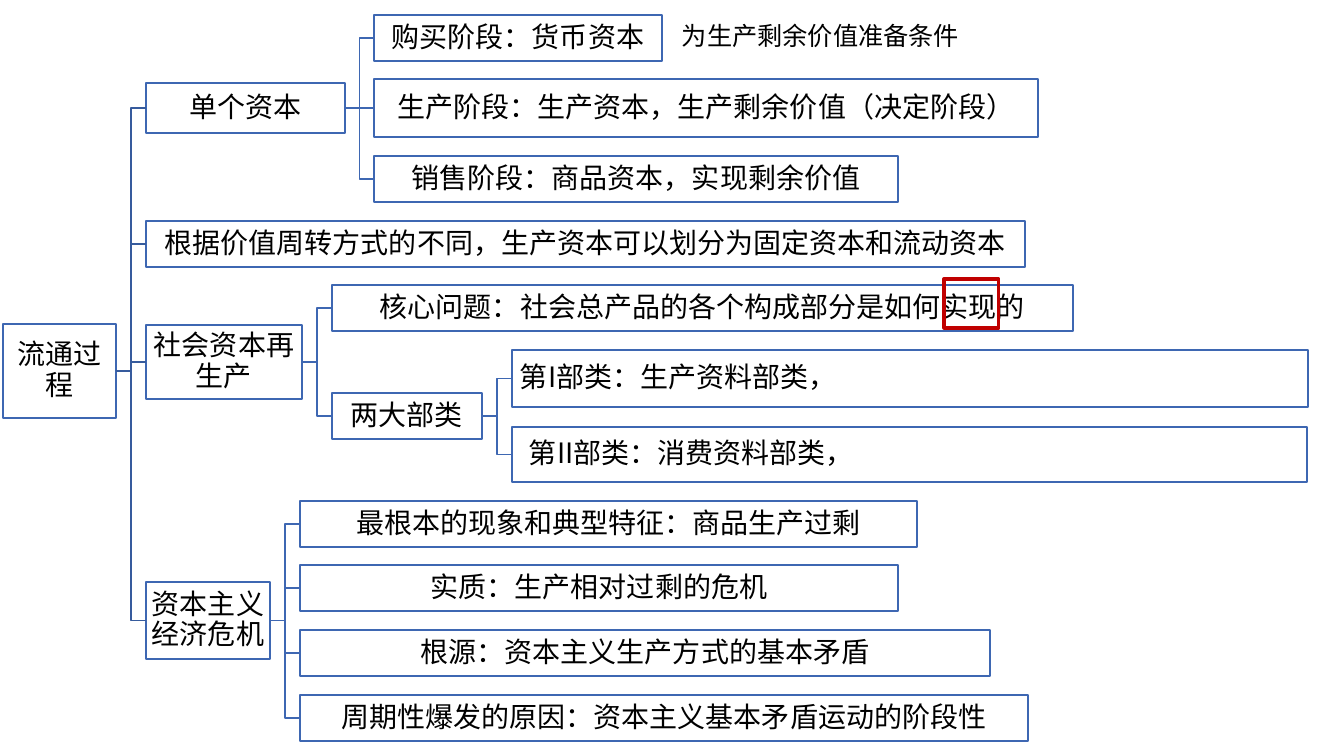
from dataclasses import dataclass

import lxml.etree
import pptx
import pptx.dml.color
import pptx.enum.shapes
import pptx.enum.text
import pptx.oxml.ns
import pptx.util

EMU_PER_PX = 914400 / 100.8
FONT = "Noto Sans CJK SC"
BLACK, WHITE, RED = "000000", "FFFFFF", "C00000"
BLUE, TRUNK_BLUE = "3E67B2", "365B9D"

RECTANGLE = pptx.enum.shapes.MSO_SHAPE.RECTANGLE
CONNECTOR = pptx.enum.shapes.MSO_CONNECTOR
ALIGN = pptx.enum.text.PP_ALIGN
ANCHOR = pptx.enum.text.MSO_ANCHOR
RIGHT_SIDE, LEFT_SIDE = 3, 1


@dataclass(frozen=True)
class Topic:
    key: str
    parent: str
    left: int
    top: int
    width: int
    height: int
    text: str
    indent: int = 0  # left-aligned by this many px; 0 means centred

    @property
    def middle(self) -> float:
        return self.top + self.height / 2


TOPICS = [
    Topic("process", "", 3, 324, 113, 94, "流通过程"),
    # Individual capital
    Topic("single", "process", 146, 83, 199, 50, "单个资本"),
    Topic("purchase", "single", 374, 15, 288, 46, "购买阶段：货币资本"),
    Topic("production", "single", 374, 79, 664, 58,
          "生产阶段：生产资本，生产剩余价值（决定阶段）"),
    Topic("sale", "single", 374, 156, 524, 46, "销售阶段：商品资本，实现剩余价值"),
    # Turnover
    Topic("turnover", "process", 146, 221, 879, 46,
          "根据价值周转方式的不同，生产资本可以划分为固定资本和流动资本"),
    # Reproduction of social capital
    Topic("social", "process", 146, 325, 156, 74, "社会资本再生产"),
    Topic("core", "social", 332, 285, 741, 46,
          "核心问题：社会总产品的各个构成部分是如何实现的"),
    Topic("departments", "social", 332, 393, 150, 46, "两大部类"),
    Topic("means", "departments", 512, 350, 796, 57, "第I部类：生产资料部类，", 8),
    Topic("consumer", "departments", 512, 427, 795, 55, "第II部类：消费资料部类，", 17),
    # Economic crisis
    Topic("crisis", "process", 146, 582, 124, 77, "资本主义经济危机"),
    Topic("feature", "crisis", 300, 501, 617, 46, "最根本的现象和典型特征：商品生产过剩"),
    Topic("essence", "crisis", 300, 565, 598, 46, "实质：生产相对过剩的危机"),
    Topic("root", "crisis", 300, 630, 690, 46, "根源：资本主义生产方式的基本矛盾"),
    Topic("cycle", "crisis", 300, 695, 728, 46,
          "周期性爆发的原因：资本主义基本矛盾运动的阶段性"),
]


def px(length: float) -> int:
    return round(length * EMU_PER_PX)


def rgb(colour: str) -> pptx.dml.color.RGBColor:
    return pptx.dml.color.RGBColor.from_string(colour)


def apply_format(target, values: dict) -> None:
    for name, value in values.items():
        setattr(target, name, value)


def write_text(shape, text: str, size: int, frame_format: dict,
               paragraph_format: dict) -> None:
    apply_format(shape.text_frame, {"word_wrap": True, **frame_format})
    paragraph = shape.text_frame.paragraphs[0]
    apply_format(paragraph, paragraph_format)
    run = paragraph.add_run()
    run.text = text
    apply_format(run.font, {"name": FONT, "size": pptx.util.Pt(size)})
    run.font.color.rgb = rgb(BLACK)
    east_asian = lxml.etree.SubElement(run.font._element, pptx.oxml.ns.qn("a:ea"))
    east_asian.set("typeface", FONT)


def draw_box(slide, left: int, top: int, width: int, height: int,
             line_colour: str, line_width: float):
    box = slide.shapes.add_shape(RECTANGLE, px(left), px(top), px(width), px(height))
    box.shadow.inherit = False
    box.line.color.rgb = rgb(line_colour)
    box.line.width = pptx.util.Pt(line_width)
    return box


def draw_topic(slide, topic: Topic):
    box = draw_box(slide, topic.left, topic.top, topic.width, topic.height, BLUE, 1)
    box.fill.solid()
    box.fill.fore_color.rgb = rgb(WHITE)
    frame_format = {
        "vertical_anchor": ANCHOR.MIDDLE,
        "margin_left": px(topic.indent or 1),
        "margin_top": px(1),
        "margin_right": px(1),
        "margin_bottom": px(1),
    }
    alignment = ALIGN.LEFT if topic.indent else ALIGN.CENTER
    write_text(box, topic.text, 20, frame_format,
               {"alignment": alignment, "line_spacing": 0.9})
    return box


def draw_branch(slide, parent: Topic, child: Topic, boxes: dict) -> None:
    level = parent.middle == child.middle
    kind = CONNECTOR.STRAIGHT if level else CONNECTOR.ELBOW
    branch = slide.shapes.add_connector(
        kind, px(parent.left + parent.width), px(parent.middle),
        px(child.left), px(child.middle))
    branch.begin_connect(boxes[parent.key], RIGHT_SIDE)
    branch.end_connect(boxes[child.key], LEFT_SIDE)
    branch.line.color.rgb = rgb(BLUE if parent.parent else TRUNK_BLUE)
    branch.line.width = pptx.util.Pt(1)
    lxml.etree.SubElement(branch._element.spPr, pptx.oxml.ns.qn("a:effectLst"))


def main() -> None:
    presentation = pptx.Presentation()
    apply_format(presentation, {"slide_width": px(1344), "slide_height": px(756)})
    slide = presentation.slides.add_slide(presentation.slide_layouts[6])

    # Topic tree
    topics = {topic.key: topic for topic in TOPICS}
    boxes = {topic.key: draw_topic(slide, topic) for topic in TOPICS}
    for topic in TOPICS:
        if topic.parent:
            draw_branch(slide, topics[topic.parent], topic, boxes)

    # Remark beside the purchase stage
    remark = slide.shapes.add_textbox(px(672), px(15), px(331), px(40))
    write_text(remark, "为生产剩余价值准备条件", 18, {}, {"alignment": ALIGN.LEFT})

    # Red frame around the key word
    keyword_frame = draw_box(slide, 944, 279, 55, 49, RED, 2.25)
    keyword_frame.fill.background()

    presentation.save("out.pptx")


if __name__ == "__main__":
    main()
